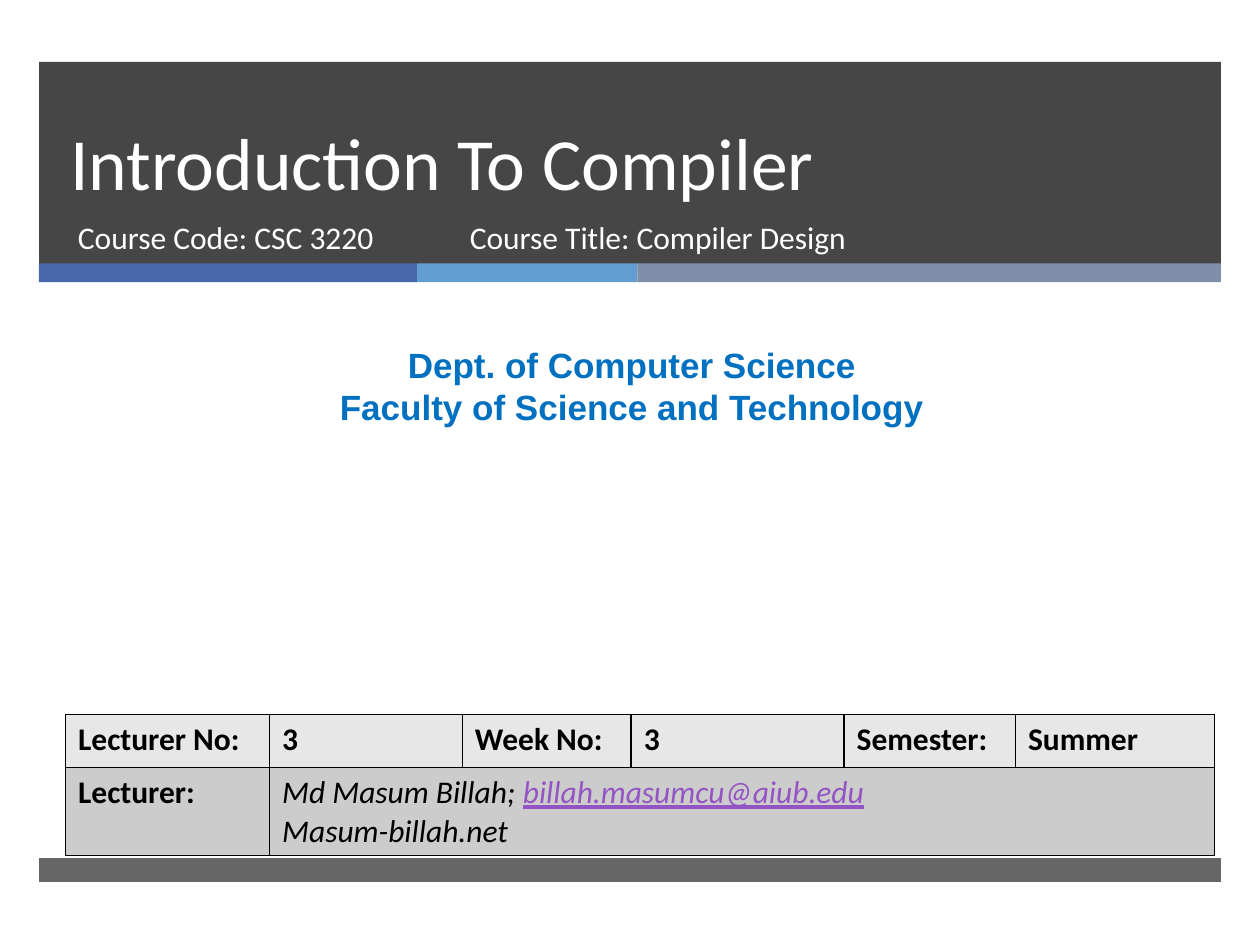
from dataclasses import dataclass

from lxml.etree import SubElement
from pptx import Presentation
from pptx.dml.color import RGBColor
from pptx.enum.shapes import MSO_SHAPE
from pptx.enum.text import MSO_ANCHOR, PP_ALIGN
from pptx.oxml.ns import qn
from pptx.util import Inches, Pt

WHITE = RGBColor(0xFF, 0xFF, 0xFF)
BLACK = RGBColor(0, 0, 0)
CHARCOAL = RGBColor(0x26, 0x26, 0x26)
INDIGO = RGBColor(0x4A, 0x66, 0xAC)
SKY = RGBColor(0x62, 0x9D, 0xD1)
SLATE = RGBColor(0x7F, 0x8F, 0xA9)
DEPT_BLUE = RGBColor(0x00, 0x70, 0xC0)
VIOLET = RGBColor(0x94, 0x54, 0xC3)
LIGHT_GREY = RGBColor(0xE7, 0xE7, 0xE7)
MID_GREY = RGBColor(0xCC, 0xCC, 0xCC)


@dataclass
class Band:
    left: float
    top: float
    width: float
    height: float
    color: RGBColor
    opacity: int = 100


@dataclass
class Label:
    left: float
    top: float
    width: float
    height: float
    lines: tuple[str, ...]
    size: int = 18
    font: str = "Calibri"
    color: RGBColor = WHITE
    bold: bool = False
    align: PP_ALIGN = PP_ALIGN.LEFT
    anchor: MSO_ANCHOR = MSO_ANCHOR.TOP
    spacing: int | None = None


BANDS = [
    Band(0.31, 0.49, 9.38, 1.61, CHARCOAL, 85),
    Band(0.31, 2.09, 3, 0.15, INDIGO),
    Band(3.31, 2.09, 1.75, 0.15, SKY),
    Band(5.06, 2.09, 4.63, 0.15, SLATE),
    Band(0.31, 6.81, 9.38, 0.19, CHARCOAL, 70),
]
LABELS = [
    Label(0.46, 0.49, 8.54, 1.19, ("Introduction To Compiler",), size=42,
          anchor=MSO_ANCHOR.BOTTOM, spacing=46),
    Label(0.52, 1.68, 3.05, 0.53, ("Course Code: CSC 3220",)),
    Label(3.63, 1.68, 4.55, 0.53, ("Course Title: Compiler Design",)),
    Label(0.08, 2.68, 9.87, 0.77,
          ("Dept. of Computer Science", "Faculty of Science and Technology"),
          size=20, font="Arial", color=DEPT_BLUE, bold=True, align=PP_ALIGN.CENTER),
]
COLUMN_WIDTHS = [1.62, 1.53, 1.34, 1.69, 1.36, 1.58]
ROW_HEIGHTS = [0.42, 0.69]
HEADINGS = ["Lecturer No:", "3", "Week No:", "3", "Semester:", "Summer"]


def add_run(p, text: str, *, size=18, font="Calibri", color=BLACK,
            bold=False, italic=False, underline=False) -> None:
    r = p.add_run()
    r.text = text
    r.font.size, r.font.name = Pt(size), font
    r.font.bold, r.font.italic, r.font.underline = bold, italic, underline
    r.font.color.rgb = color


def add_band(s, band: Band) -> None:
    sp = s.shapes.add_shape(MSO_SHAPE.RECTANGLE, Inches(band.left), Inches(band.top),
                            Inches(band.width), Inches(band.height))
    sp.shadow.inherit = False
    sp.line.fill.background()
    sp.fill.solid()
    sp.fill.fore_color.rgb = band.color
    if band.opacity < 100:
        rgb = sp.fill._xPr.find(qn("a:solidFill"))[0]
        SubElement(rgb, qn("a:alpha"), val=str(band.opacity * 1000))


def add_label(s, label: Label) -> None:
    sp = s.shapes.add_textbox(Inches(label.left), Inches(label.top),
                              Inches(label.width), Inches(label.height))
    tf = sp.text_frame
    tf.word_wrap = True
    tf.vertical_anchor = label.anchor
    for i, line in enumerate(label.lines):
        p = tf.add_paragraph() if i else tf.paragraphs[0]
        p.alignment = label.align
        if label.spacing:
            p.line_spacing = Pt(label.spacing)
        add_run(p, line, size=label.size, font=label.font,
                color=label.color, bold=label.bold)


def style_cell(cell, fill: RGBColor) -> None:
    tc_pr = cell._tc.get_or_add_tcPr()
    for side in ("a:lnL", "a:lnR", "a:lnT", "a:lnB"):
        ln = SubElement(tc_pr, qn(side), w=str(Pt(1)))
        SubElement(SubElement(ln, qn("a:solidFill")), qn("a:srgbClr"), val=str(BLACK))
    cell.fill.solid()
    cell.fill.fore_color.rgb = fill


def add_lecture_table(s) -> None:
    table = s.shapes.add_table(
        len(ROW_HEIGHTS), len(COLUMN_WIDTHS), Inches(0.52), Inches(5.67),
        Inches(sum(COLUMN_WIDTHS)), Inches(sum(ROW_HEIGHTS))).table
    for column, width in zip(table.columns, COLUMN_WIDTHS):
        column.width = Inches(width)
    for row, height, fill in zip(table.rows, ROW_HEIGHTS, (LIGHT_GREY, MID_GREY)):
        row.height = Inches(height)
        for cell in row.cells:
            style_cell(cell, fill)

    # Lecture details
    for cell, heading in zip(table.rows[0].cells, HEADINGS):
        add_run(cell.text_frame.paragraphs[0], heading, bold=True)

    # Lecturer and contact
    add_run(table.cell(1, 0).text_frame.paragraphs[0], "Lecturer:", bold=True)
    contact = table.cell(1, 1)
    contact.merge(table.cell(1, len(COLUMN_WIDTHS) - 1))
    tf = contact.text_frame
    p = tf.paragraphs[0]
    add_run(p, "Md Masum Billah; ", italic=True)
    add_run(p, "billah.masumcu@aiub.edu", color=VIOLET, italic=True, underline=True)
    add_run(tf.add_paragraph(), "Masum-billah.net", italic=True)


def main() -> None:
    prs = Presentation()
    prs.slide_width, prs.slide_height = Inches(10), Inches(7.5)
    s = prs.slides.add_slide(prs.slide_layouts[6])

    # Header and footer bands
    for band in BANDS:
        add_band(s, band)

    # Title, course and department
    for label in LABELS:
        add_label(s, label)

    add_lecture_table(s)
    prs.save("out.pptx")


if __name__ == "__main__":
    main()
